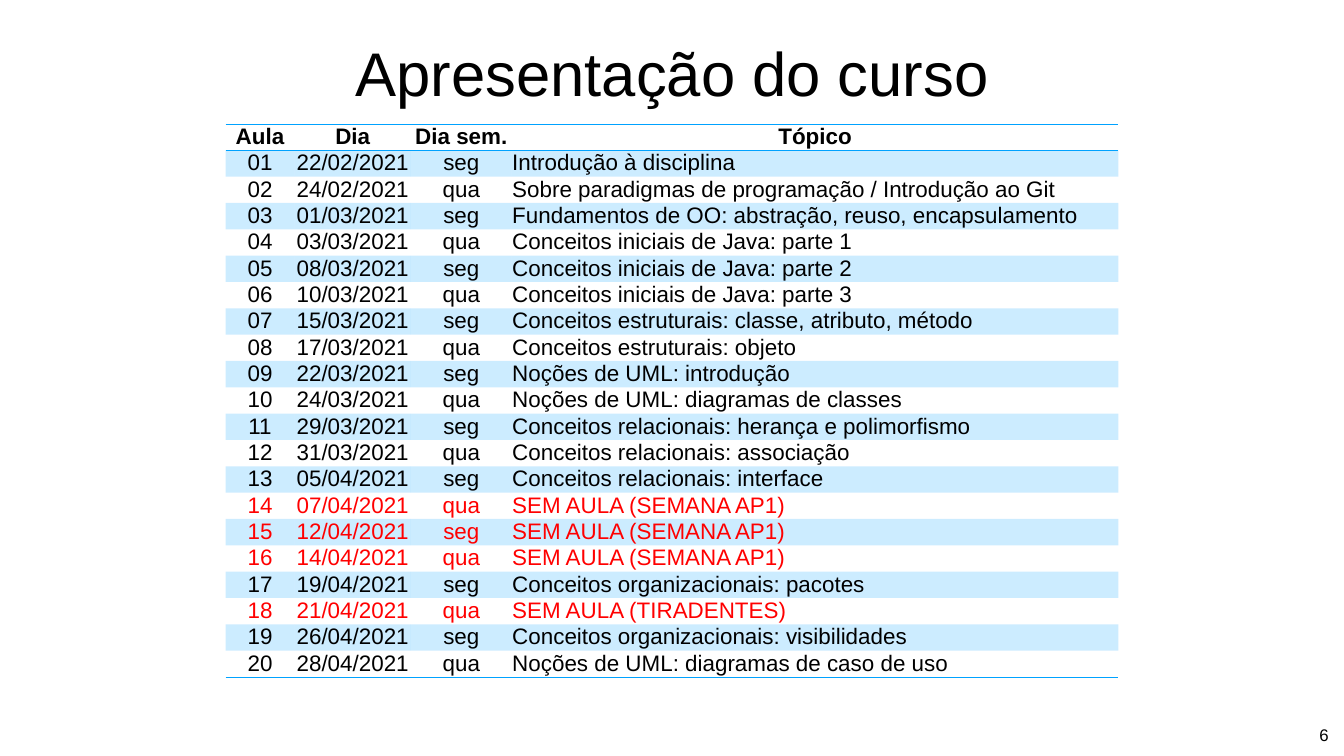
from lxml.etree import SubElement
from pptx import Presentation
from pptx.dml.color import RGBColor
from pptx.enum.text import MSO_ANCHOR, PP_ALIGN
from pptx.oxml import parse_xml
from pptx.oxml.ns import nsdecls, qn
from pptx.util import Inches, Pt

COLORS = {"text": "000000", "off": "FF0000", "accent": "00A2FF"}
WIDE, HIGH = 26.67, 15
TALL = 10.65  # table height
COLS = [1.37, 2.31, 2, 12.04]
HEADS = ["Aula", "Dia", "Dia sem.", "Tópico"]
DAYS = ["seg", "qua"]
PLAIN = "{2D5ABB26-0587-4C30-8999-92F81FD0307C}"  # table style without grid
CLASSES = [
    ("22/02/2021", "Introdução à disciplina"),
    ("24/02/2021", "Sobre paradigmas de programação / Introdução ao Git"),
    ("01/03/2021", "Fundamentos de OO: abstração, reuso, encapsulamento"),
    ("03/03/2021", "Conceitos iniciais de Java: parte 1"),
    ("08/03/2021", "Conceitos iniciais de Java: parte 2"),
    ("10/03/2021", "Conceitos iniciais de Java: parte 3"),
    ("15/03/2021", "Conceitos estruturais: classe, atributo, método"),
    ("17/03/2021", "Conceitos estruturais: objeto"),
    ("22/03/2021", "Noções de UML: introdução"),
    ("24/03/2021", "Noções de UML: diagramas de classes"),
    ("29/03/2021", "Conceitos relacionais: herança e polimorfismo"),
    ("31/03/2021", "Conceitos relacionais: associação"),
    ("05/04/2021", "Conceitos relacionais: interface"),
    ("07/04/2021", "SEM AULA (SEMANA AP1)"),
    ("12/04/2021", "SEM AULA (SEMANA AP1)"),
    ("14/04/2021", "SEM AULA (SEMANA AP1)"),
    ("19/04/2021", "Conceitos organizacionais: pacotes"),
    ("21/04/2021", "SEM AULA (TIRADENTES)"),
    ("26/04/2021", "Conceitos organizacionais: visibilidades"),
    ("28/04/2021", "Noções de UML: diagramas de caso de uso"),
]


def write(frame, text, size=32, color="text", bold=False,
          align=PP_ALIGN.CENTER, space=None):
    par = frame.paragraphs[0]
    par.alignment = align
    par.line_spacing = space
    run = par.add_run()
    run.text = text
    run.font.name = "Arial"
    run.font.size = Pt(size)
    run.font.bold = bold
    run.font.color.rgb = RGBColor.from_string(COLORS[color])


def rule(cell, sides):
    for spot, side in enumerate(sides):
        line = parse_xml(
            f'<a:ln{side} {nsdecls("a")} w="12700"><a:solidFill>'
            f'<a:srgbClr val="{COLORS["accent"]}"/></a:solidFill></a:ln{side}>')
        cell._tc.get_or_add_tcPr().insert(spot, line)


deck = Presentation()
deck.slide_width, deck.slide_height = Inches(WIDE), Inches(HIGH)
slide = deck.slides.add_slide(deck.slide_layouts[5])

# Title
title = slide.shapes.title
title.left, title.top = Inches(1.85), Inches(0.39)
title.width, title.height = Inches(WIDE - 2 * 1.85), Inches(2.07)
title.text_frame.vertical_anchor = MSO_ANCHOR.MIDDLE
write(title.text_frame, "Apresentação do curso", size=88)

# Page number
page = slide.shapes.add_textbox(Inches(25.95), Inches(14.31), Inches(0.65), Inches(0.52))
page.text_frame.word_wrap = False
write(page.text_frame, "6", size=24)

for frame in (title.text_frame, page.text_frame):
    frame.margin_left = frame.margin_right = Inches(0.06)
    frame.margin_top = frame.margin_bottom = Inches(0.06)

# Schedule table, centred across the slide
rows = [HEADS] + [
    [f"{num:02}", date, DAYS[(num - 1) % 2], topic]
    for num, (date, topic) in enumerate(CLASSES, 1)]
wide = sum(COLS)
shape = slide.shapes.add_table(
    len(rows), len(COLS), Inches((WIDE - wide) / 2), Inches(2.46),
    Inches(wide), Inches(TALL))
table = shape.table
table.first_row = table.horz_banding = False
table._tbl.tblPr.find(qn("a:tableStyleId")).text = PLAIN
for col, size in zip(table.columns, COLS):
    col.width = Inches(size)

for r, row in enumerate(rows):
    table.rows[r].height = Inches(TALL / len(rows))
    color = "off" if row[-1].startswith("SEM AULA") else "text"
    for c, text in enumerate(row):
        cell = table.cell(r, c)
        cell.vertical_anchor = MSO_ANCHOR.MIDDLE
        cell.margin_left = cell.margin_right = cell.margin_top = Inches(0.01)
        cell.margin_bottom = 0
        left = r > 0 and c == len(COLS) - 1
        write(cell.text_frame, text, color=color, bold=r == 0, space=0.96,
              align=PP_ALIGN.LEFT if left else PP_ALIGN.CENTER)

        # Pale bands on odd rows
        if r % 2:
            cell.fill.solid()
            cell.fill.fore_color.rgb = RGBColor.from_string(COLORS["accent"])
            tint = cell._tc.tcPr.find(".//" + qn("a:srgbClr"))
            SubElement(tint, qn("a:alpha")).set("val", "20000")
        else:
            cell.fill.background()

        # Lines around the header and under the last row
        if r == 0:
            rule(cell, "TB")
        elif r == len(rows) - 1:
            rule(cell, "B")

deck.save("out.pptx")
